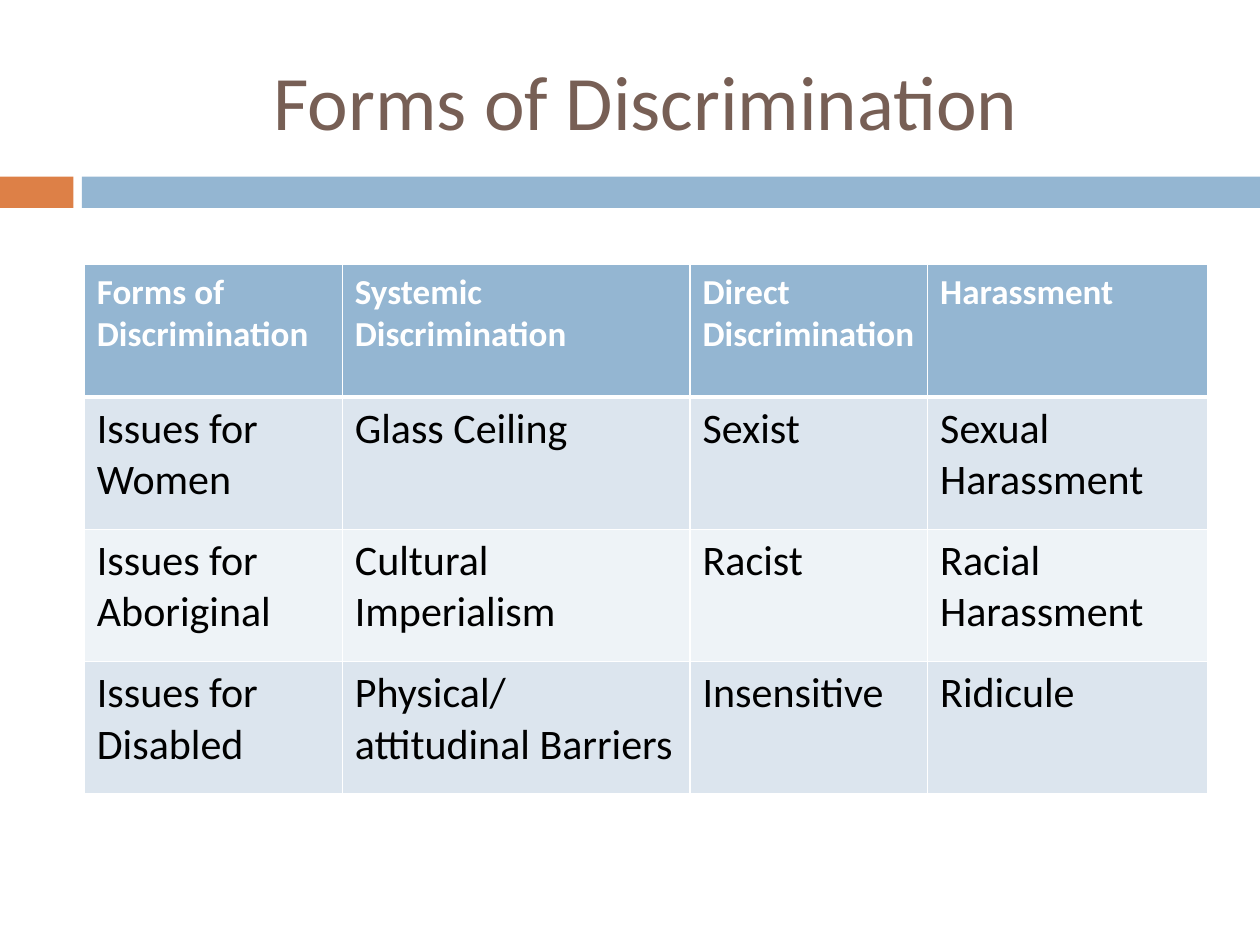
from dataclasses import dataclass

from lxml import etree
from pptx import Presentation
from pptx.dml.color import RGBColor
from pptx.enum.shapes import MSO_SHAPE
from pptx.enum.text import MSO_ANCHOR, PP_ALIGN
from pptx.oxml.ns import qn
from pptx.util import Cm, Pt

RECTANGLE = MSO_SHAPE.RECTANGLE
MIDDLE = MSO_ANCHOR.MIDDLE
CENTER = PP_ALIGN.CENTER
TITLE_ONLY = 5


@dataclass(frozen=True)
class Theme:
    font: str = "Calibri"
    title_size: int = 44
    header_size: int = 20
    body_size: int = 24
    title: str = "775F55"
    accent: str = "DD8047"
    blue: str = "94B6D2"
    bands: tuple = ("DCE5EE", "EEF3F7")
    white: str = "FFFFFF"
    black: str = "000000"
    thin_rule: int = 1
    thick_rule: int = 3


class SlideBuilder:
    def __init__(self, page, theme):
        self.page = page
        self.theme = theme

    def style_text(self, frame, size, color, bold=False):
        for para in frame.paragraphs:
            for span in para.runs:
                span.font.name = self.theme.font
                span.font.size = Pt(size)
                span.font.bold = bold
                span.font.color.rgb = RGBColor.from_string(color)

    def title(self, text, left, top, width, height):
        box = self.page.shapes.title
        box.left, box.top, box.width, box.height = map(Cm, (left, top, width, height))
        frame = box.text_frame
        frame.text = text
        frame.vertical_anchor = MIDDLE
        frame.paragraphs[0].alignment = CENTER
        self.style_text(frame, self.theme.title_size, self.theme.title)

    def bar(self, left, top, width, height, color):
        bar = self.page.shapes.add_shape(RECTANGLE, *map(Cm, (left, top, width, height)))
        bar.shadow.inherit = False
        bar.fill.solid()
        bar.fill.fore_color.rgb = RGBColor.from_string(color)
        bar.line.fill.background()

    def borders(self, cell, top, bottom):
        thin = self.theme.thin_rule
        properties = cell._tc.get_or_add_tcPr()
        for side, width in (("L", thin), ("R", thin), ("T", top), ("B", bottom)):
            line = etree.SubElement(properties, qn(f"a:ln{side}"), w=str(Pt(width)))
            fill = etree.SubElement(line, qn("a:solidFill"))
            etree.SubElement(fill, qn("a:srgbClr"), val=self.theme.white)

    def table(self, rows, left, top, column_widths, row_height):
        theme = self.theme
        table = self.page.shapes.add_table(
            len(rows), len(column_widths), Cm(left), Cm(top),
            Cm(sum(column_widths)), Cm(row_height * len(rows))).table
        for column, width in zip(table.columns, column_widths):
            column.width = Cm(width)
        for r, texts in enumerate(rows):
            table.rows[r].height = Cm(row_height)
            header = r == 0
            fill = theme.blue if header else theme.bands[(r - 1) % 2]
            size = theme.header_size if header else theme.body_size
            color = theme.white if header else theme.black
            # The heavy rule lies between the header and the first body row
            upper = theme.thick_rule if r == 1 else theme.thin_rule
            lower = theme.thick_rule if header else theme.thin_rule
            for c, text in enumerate(texts):
                cell = table.cell(r, c)
                cell.text_frame.text = text
                self.style_text(cell.text_frame, size, color, bold=header)
                self.borders(cell, upper, lower)
                cell.fill.solid()
                cell.fill.fore_color.rgb = RGBColor.from_string(fill)


ROWS = [
    ["Forms of Discrimination", "Systemic Discrimination", "Direct Discrimination", "Harassment"],
    ["Issues for Women", "Glass Ceiling", "Sexist", "Sexual Harassment"],
    ["Issues for Aboriginal", "Cultural Imperialism", "Racist", "Racial Harassment"],
    ["Issues for Disabled", "Physical/attitudinal Barriers", "Insensitive", "Ridicule"],
]


def main():
    deck = Presentation()
    deck.slide_width, deck.slide_height = Cm(25.4), Cm(19.05)
    theme = Theme()
    builder = SlideBuilder(deck.slides.add_slide(deck.slide_layouts[TITLE_ONLY]), theme)

    # Heading and the divider below it
    builder.title("Forms of Discrimination", 1.7, 0.64, 22.65, 2.74)
    builder.bar(0, 3.56, 1.48, 0.63, theme.accent)
    builder.bar(1.65, 3.56, 23.75, 0.63, theme.blue)

    # Issues by group and form
    builder.table(ROWS, 1.7, 5.33, [5.2, 7.01, 4.79, 5.65], 2.67)

    deck.save("out.pptx")


if __name__ == "__main__":
    main()
